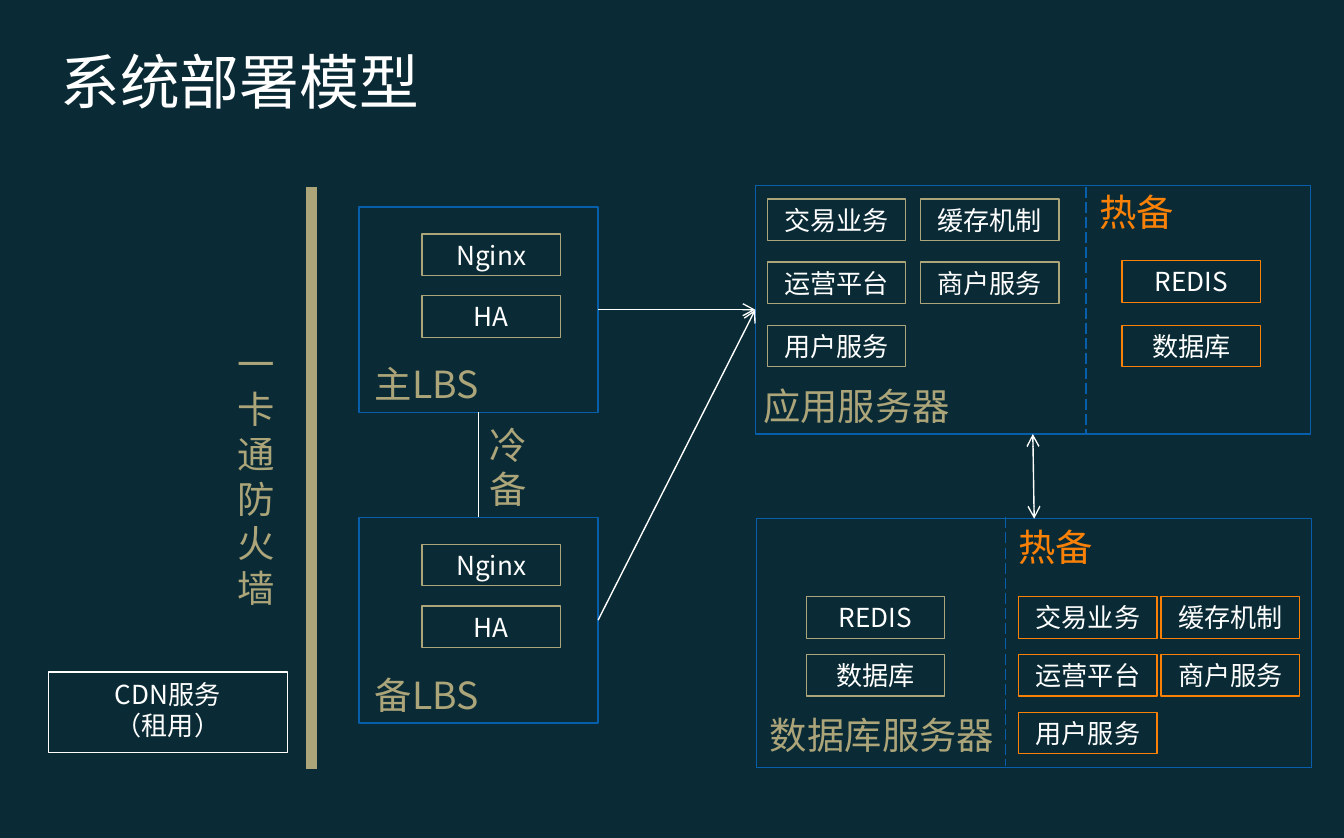
from pptx import Presentation
from pptx.dml.color import RGBColor
from pptx.enum.dml import MSO_LINE
from pptx.enum.shapes import MSO_CONNECTOR, MSO_SHAPE
from pptx.enum.text import MSO_ANCHOR, PP_ALIGN
from pptx.oxml.ns import qn
from pptx.util import Inches, Pt
from lxml.etree import SubElement

FONT = "Noto Sans CJK TC"
NAVY = RGBColor(0x0A, 0x2B, 0x35)
WHITE = RGBColor(0xFF, 0xFF, 0xFF)
SAND = RGBColor(0xAD, 0xA5, 0x7A)
BLUE = RGBColor(0x07, 0x5E, 0xAB)
ORANGE = RGBColor(0xFA, 0x81, 0x07)
NODE_WIDTH, NODE_HEIGHT = 1.03, 0.31
BUSINESS_SERVICES = [["交易业务", "缓存机制"], ["运营平台", "商户服务"], ["用户服务"]]
DATA_SERVICES = [["REDIS"], ["数据库"]]
LBS_SERVICES = [["Nginx"], ["HA"]]


def format_text(shape, size, color, align=PP_ALIGN.LEFT):
    for para in shape.text_frame.paragraphs:
        para.alignment = align
        for span in para.runs:
            span.font.size = Pt(size)
            span.font.name = FONT
            span.font.color.rgb = color
            SubElement(span.font._element, qn("a:ea")).set("typeface", FONT)


def place(shape, left, top, width, height):
    shape.left, shape.top = Inches(left), Inches(top)
    shape.width, shape.height = Inches(width), Inches(height)


def add_title(page, text):
    title = page.shapes.title
    place(title, 0.35, 0.28, 8.66, 0.64)
    title.text_frame.text = text
    title.text_frame.vertical_anchor = MSO_ANCHOR.MIDDLE
    format_text(title, 32, WHITE)


def add_label(page, text, left, top, width, height=0.44, color=SAND):
    box = page.shapes.add_textbox(Inches(left), Inches(top), Inches(width), Inches(height))
    box.text_frame.word_wrap = True
    box.text_frame.vertical_anchor = MSO_ANCHOR.TOP
    box.text_frame.text = text
    format_text(box, 20, color)


def add_box(page, left, top, width, height, color, text="", anchor=MSO_ANCHOR.MIDDLE):
    box = page.shapes.add_shape(
        MSO_SHAPE.RECTANGLE, Inches(left), Inches(top), Inches(width), Inches(height))
    box.shadow.inherit = False
    box.fill.background()
    box.line.color.rgb = color
    box.line.width = Pt(0)
    box.text_frame.text = text
    box.text_frame.vertical_anchor = anchor
    format_text(box, 14, WHITE, PP_ALIGN.CENTER)
    return box


def add_grid(page, rows, left, top, column_step, row_step, color):
    for row, names in enumerate(rows):
        for column, name in enumerate(names):
            add_box(page, left + column * column_step, top + row * row_step,
                    NODE_WIDTH, NODE_HEIGHT, color, name)


def add_line(page, start, end, color=WHITE, width=0.75):
    line = page.shapes.add_connector(
        MSO_CONNECTOR.STRAIGHT, *(Inches(value) for value in (*start, *end)))
    line.line.color.rgb = color
    line.line.width = Pt(width)
    SubElement(line._element.spPr, qn("a:effectLst"))
    return line


def join(page, source, source_side, target, target_side, arrows=()):
    line = add_line(page, (0, 0), (1, 1))
    line.begin_connect(source, source_side)
    line.end_connect(target, target_side)
    for end in arrows:
        SubElement(line.line._get_or_add_ln(), qn(f"a:{end}")).set("type", "arrow")


def add_divider(page, x, top):
    line = add_line(page, (x, top), (x, top + 1.85), BLUE)
    line.line.dash_style = MSO_LINE.LONG_DASH


def add_balancer(page, name, top):
    frame = add_box(page, 2.67, top, 1.78, 1.53, BLUE)
    add_grid(page, LBS_SERVICES, 3.14, top + 0.2, 0, 0.46, SAND)
    add_label(page, name, 2.69, top + 1.1, 1.16)
    return frame


def add_application_server(page):
    frame = add_box(page, 5.62, 1.38, 4.13, 1.85, BLUE)
    add_divider(page, 8.08, 1.39)
    add_grid(page, BUSINESS_SERVICES, 5.71, 1.48, 1.14, 0.47, SAND)
    add_grid(page, DATA_SERVICES, 8.35, 1.94, 0, 0.48, ORANGE)
    add_label(page, "应用服务器", 5.58, 2.8, 1.65)
    add_label(page, "热备", 8.08, 1.36, 1.58, color=ORANGE)
    return frame


def add_database_server(page):
    frame = add_box(page, 5.63, 3.86, 4.13, 1.85, BLUE)
    add_divider(page, 7.48, 3.85)
    add_grid(page, DATA_SERVICES, 6, 4.44, 0, 0.43, SAND)
    add_grid(page, BUSINESS_SERVICES, 7.58, 4.44, 1.06, 0.43, ORANGE)
    add_label(page, "数据库服务器", 5.63, 5.25, 2.09)
    add_label(page, "热备", 7.48, 3.85, 2.09, color=ORANGE)
    return frame


def main():
    deck = Presentation()
    deck.slide_width, deck.slide_height = Inches(10), Pt(449)
    page = deck.slides.add_slide(deck.slide_layouts[5])
    page.background.fill.solid()
    page.background.fill.fore_color.rgb = NAVY
    add_title(page, "系统部署模型")

    add_line(page, (2.32, 1.39), (2.32, 5.72), SAND, 6)
    add_label(page, "一卡通防火墙", 1.67, 2.49, 0.56, 2.12)
    add_box(page, 0.36, 5, 1.78, 0.6, WHITE, "CDN服务\n（租用）", MSO_ANCHOR.TOP)

    primary = add_balancer(page, "主LBS", 1.54)
    standby = add_balancer(page, "备LBS", 3.85)
    application = add_application_server(page)
    database = add_database_server(page)

    join(page, primary, 2, standby, 0)
    add_label(page, "冷备", 3.54, 3.09, 0.59, 0.77)
    for balancer in (primary, standby):
        join(page, balancer, 3, application, 1, ["tailEnd"])
    join(page, application, 2, database, 0, ["headEnd", "tailEnd"])
    deck.save("out.pptx")


if __name__ == "__main__":
    main()
